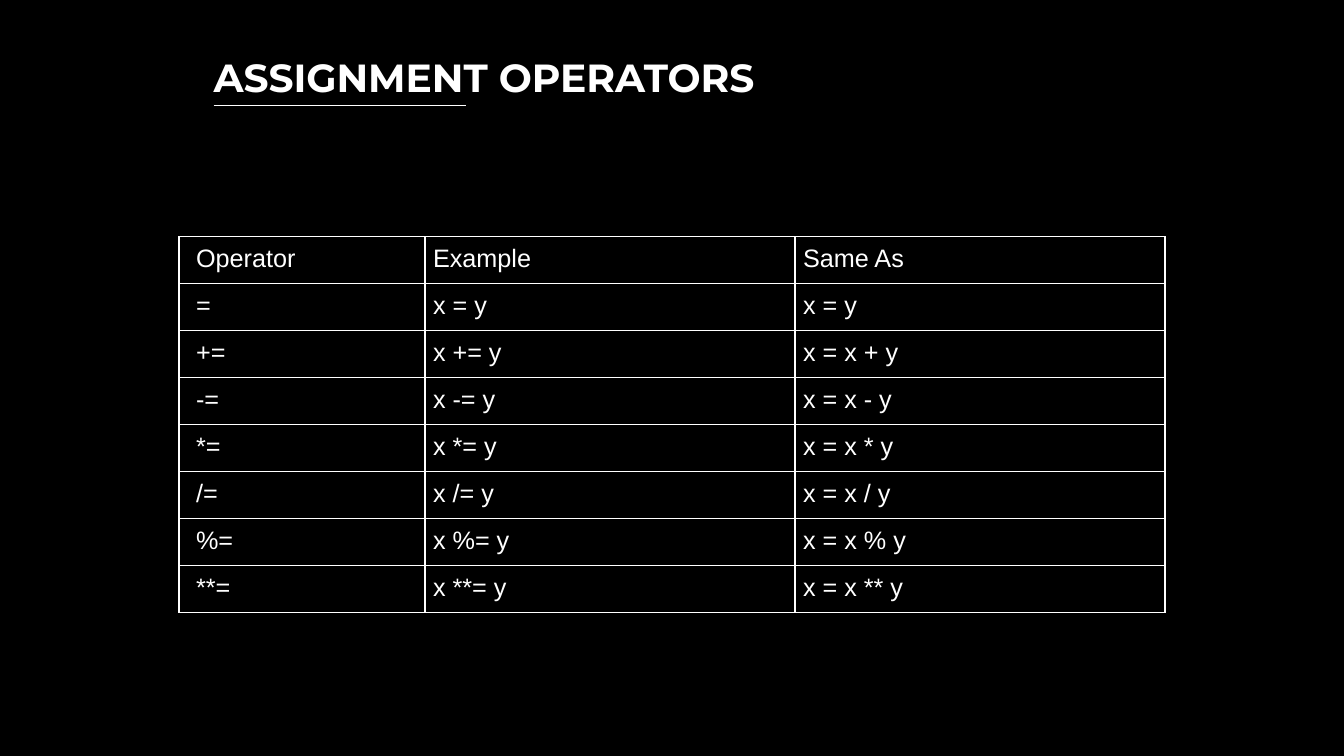
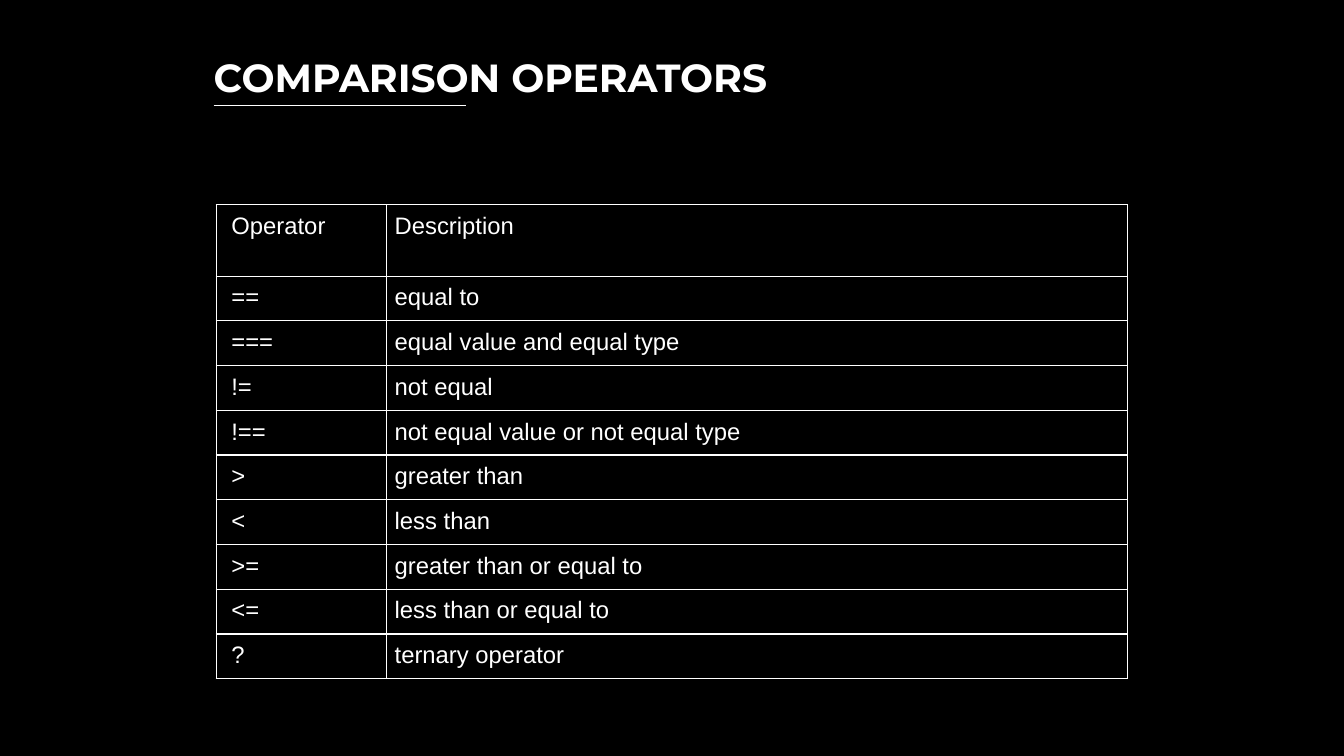
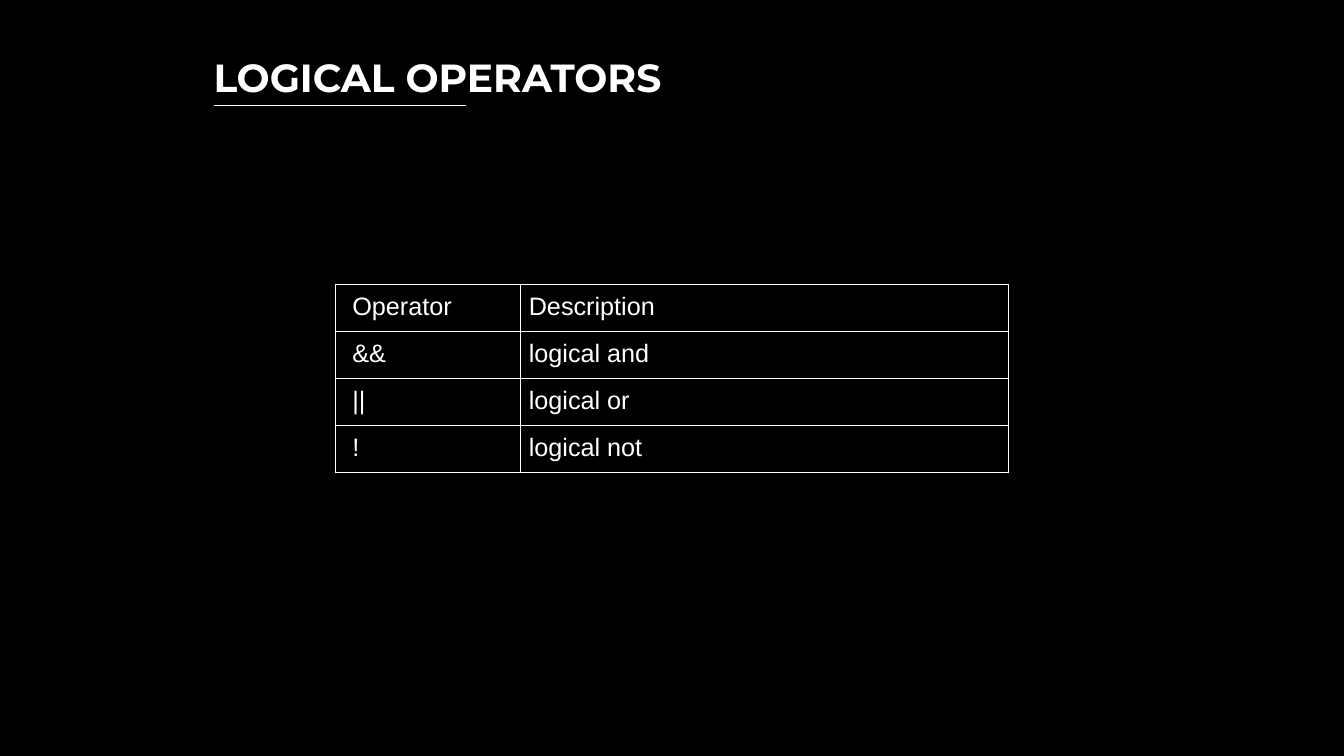
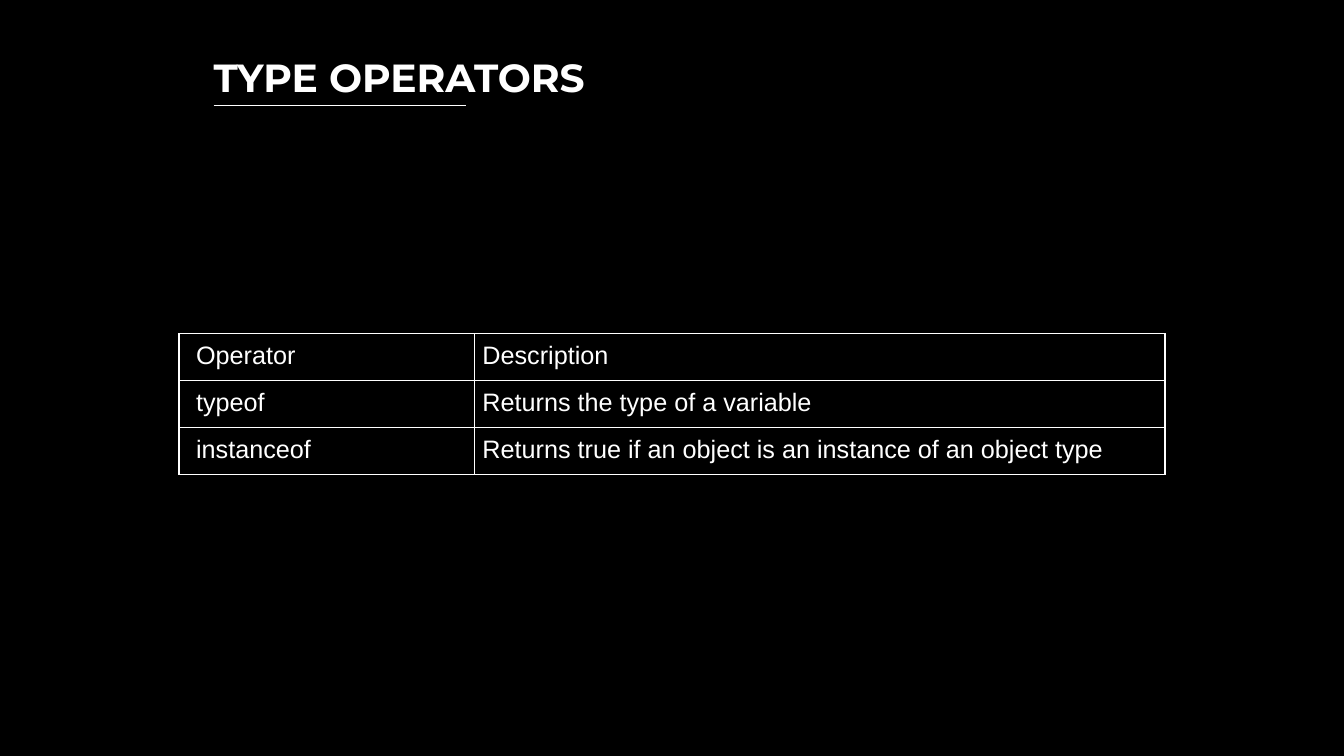
from dataclasses import dataclass

from lxml import etree
from pptx import Presentation
from pptx import util as u
from pptx.dml import color
from pptx.enum import shapes, text
from pptx.oxml import ns


@dataclass(frozen=True)
class Theme:
    background: color.RGBColor = color.RGBColor(0x00, 0x00, 0x00)
    ink: color.RGBColor = color.RGBColor(0xFF, 0xFF, 0xFF)
    title_font: str = "Montserrat"
    body_font: str = "Arial"
    title_size: int = 28
    body_size: int = 18
    dense_size: int = 17
    rule_width: float = 0.75
    border_width: float = 1


THEME = Theme()
SLIDE_WIDTH, SLIDE_HEIGHT = 13.33, 7.5
TITLE_LEFT, TITLE_TOP, TITLE_HEIGHT = 2.02, 0.48, 0.57
RULE_INDENT, RULE_LENGTH = 0.1, 2.5
CELL_INSET, FIRST_INSET, DENSE_FIRST_INSET = 0.08, 0.17, 0.15


def add_run(paragraph, words, font, size, bold=False):
    run = paragraph.add_run()
    run.text = words
    run.font.name = font
    run.font.size = u.Pt(size)
    run.font.bold = bold
    run.font.color.rgb = THEME.ink


def add_title(slide, words, left, top, width):
    # Heading
    heading = slide.shapes.add_textbox(
        u.Inches(left), u.Inches(top), u.Inches(width), u.Inches(TITLE_HEIGHT))
    frame = heading.text_frame
    frame.word_wrap = False
    frame.auto_size = text.MSO_AUTO_SIZE.SHAPE_TO_FIT_TEXT
    add_run(frame.paragraphs[0], words, THEME.title_font, THEME.title_size, True)

    # Underline
    start, level = left + RULE_INDENT, top + TITLE_HEIGHT
    underline = slide.shapes.add_connector(
        shapes.MSO_CONNECTOR.STRAIGHT, u.Inches(start), u.Inches(level),
        u.Inches(start + RULE_LENGTH), u.Inches(level))
    underline.line.color.rgb = THEME.ink
    underline.line.width = u.Pt(THEME.rule_width)
    etree.SubElement(underline._element.spPr, ns.qn("a:effectLst"))


def add_borders(cell):
    properties = cell._tc.get_or_add_tcPr()
    for side in ("a:lnL", "a:lnR", "a:lnT", "a:lnB"):
        edge = etree.SubElement(properties, ns.qn(side),
                                w=str(u.Pt(THEME.border_width)))
        fill = etree.SubElement(edge, ns.qn("a:solidFill"))
        etree.SubElement(fill, ns.qn("a:srgbClr"), val=str(THEME.ink))


def add_operator_table(slide, rows, top, height, widths,
                       size=THEME.body_size, first_inset=FIRST_INSET,
                       header_height=None):
    # Grid, centred across the slide
    width = sum(widths)
    grid = slide.shapes.add_table(
        len(rows), len(widths), u.Inches((SLIDE_WIDTH - width) / 2),
        u.Inches(top), u.Inches(width), u.Inches(height)).table
    grid.first_row = grid.horz_banding = False
    for column, column_width in zip(grid.columns, widths):
        column.width = u.Inches(column_width)
    if header_height:
        grid.rows[0].height = u.Inches(header_height)
        row_height = (height - header_height) / (len(rows) - 1)
        for row in list(grid.rows)[1:]:
            row.height = u.Inches(row_height)

    # Cells
    for r, entries in enumerate(rows):
        for c, entry in enumerate(entries):
            cell = grid.cell(r, c)
            add_borders(cell)
            cell.fill.background()
            cell.margin_left = u.Inches(CELL_INSET if c else first_inset)
            cell.margin_right = cell.margin_top = cell.margin_bottom = u.Inches(CELL_INSET)
            add_run(cell.text_frame.paragraphs[0], entry, THEME.body_font, size)


def add_operator_slide(prs, title, title_width, **table):
    slide = prs.slides.add_slide(prs.slide_layouts[6])
    add_title(slide, title, TITLE_LEFT, TITLE_TOP, title_width)
    add_operator_table(slide, **table)


ASSIGNMENT = [("Operator", "Example", "Same As"), ("=", "x = y", "x = y")] + [
    (f"{sign}=", f"x {sign}= y", f"x = x {sign} y")
    for sign in ("+", "-", "*", "/", "%", "**")]

COMPARISON = [
    ("Operator", "Description"),
    ("==", "equal to"),
    ("===", "equal value and equal type"),
    ("!=", "not equal"),
    ("!==", "not equal value or not equal type"),
    (">", "greater than"),
    ("<", "less than"),
    (">=", "greater than or equal to"),
    ("<=", "less than or equal to"),
    ("?", "ternary operator"),
]

LOGICAL = [
    ("Operator", "Description"),
    ("&&", "logical and"),
    ("||", "logical or"),
    ("!", "logical not"),
]

TYPE = [
    ("Operator", "Description"),
    ("typeof", "Returns the type of a variable"),
    ("instanceof", "Returns true if an object is an instance of an object type"),
]


def main():
    prs = Presentation()
    prs.slide_width = u.Inches(SLIDE_WIDTH)
    prs.slide_height = u.Inches(SLIDE_HEIGHT)

    # Shared background
    backdrop = prs.slide_master.background.fill
    backdrop.solid()
    backdrop.fore_color.rgb = THEME.background

    # Slides
    add_operator_slide(prs, "ASSIGNMENT OPERATORS", 5.95, rows=ASSIGNMENT,
                       top=2.35, height=3.73, widths=(2.44, 3.67, 3.67))
    add_operator_slide(prs, "COMPARISON OPERATORS", 5.96, rows=COMPARISON,
                       top=2.03, height=4.64, widths=(1.69, 7.35),
                       size=THEME.dense_size, first_inset=DENSE_FIRST_INSET,
                       header_height=0.71)
    add_operator_slide(prs, "LOGICAL OPERATORS", 4.93, rows=LOGICAL,
                       top=2.82, height=1.87, widths=(1.84, 4.84))
    add_operator_slide(prs, "TYPE OPERATORS", 4.16, rows=TYPE,
                       top=3.31, height=1.4, widths=(2.93, 6.85))
    prs.save("out.pptx")


if __name__ == "__main__":
    main()
